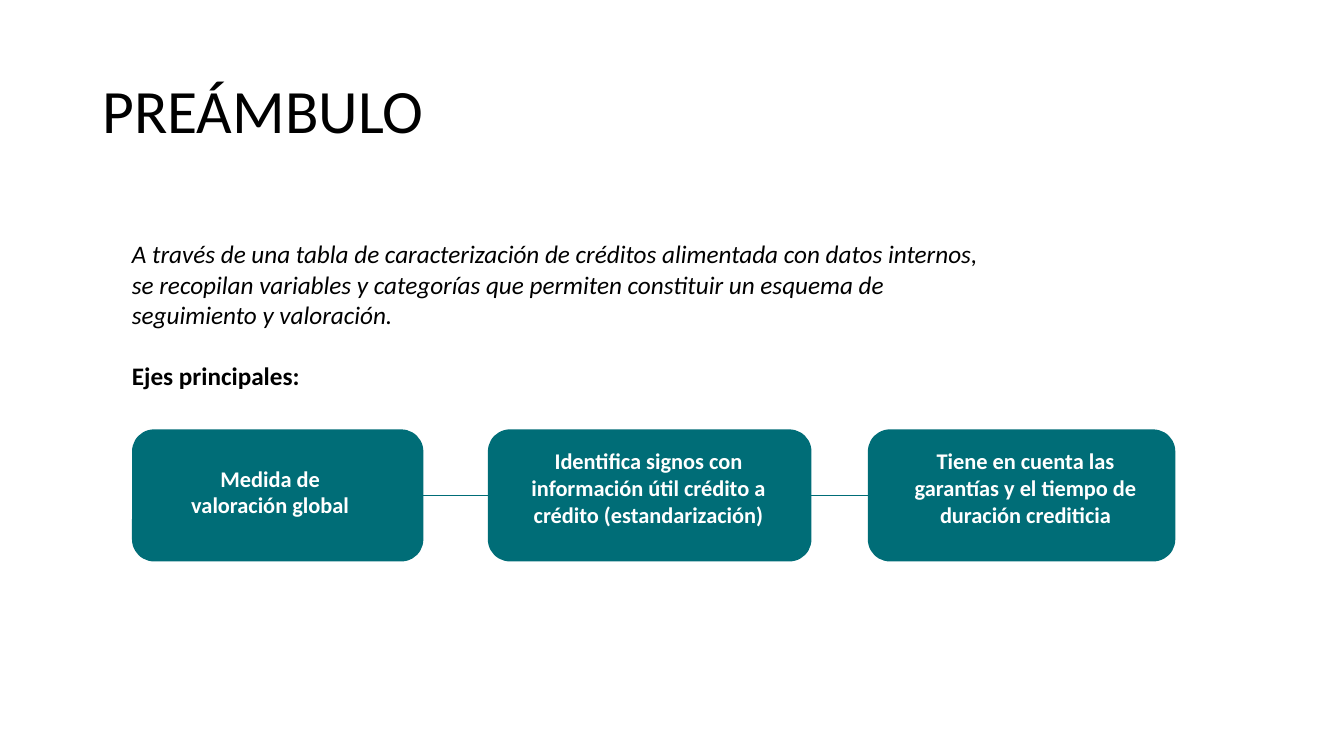
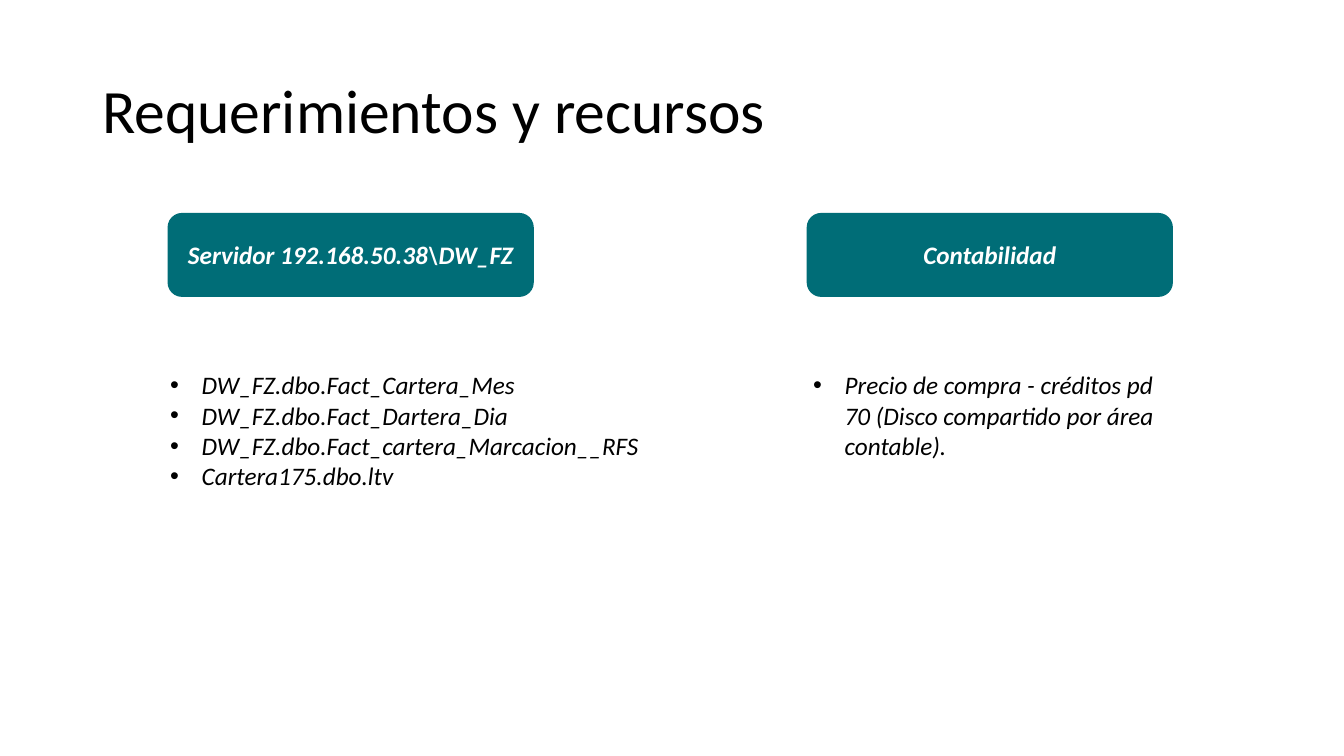
import pptx
import pptx.dml.color
import pptx.enum.shapes
import pptx.enum.text
import pptx.oxml.ns
import pptx.util
from lxml import etree

Pt = pptx.util.Pt
RGBColor = pptx.dml.color.RGBColor
PP_ALIGN = pptx.enum.text.PP_ALIGN
MSO_ANCHOR = pptx.enum.text.MSO_ANCHOR
MSO_SHAPE = pptx.enum.shapes.MSO_SHAPE
MSO_CONNECTOR = pptx.enum.shapes.MSO_CONNECTOR
qn = pptx.oxml.ns.qn

TEAL = RGBColor(0x00, 0x6D, 0x77)
BLACK = RGBColor(0x00, 0x00, 0x00)
WHITE = RGBColor(0xFF, 0xFF, 0xFF)
FONT = "Calibri"
LEFT, RIGHT = 1, 3


def style(p, size, color=BLACK, bold=False, italic=False):
    p.font.name = FONT
    p.font.size = Pt(size)
    p.font.color.rgb = color
    p.font.bold = bold
    p.font.italic = italic


def add_text(slide, left, top, width, height):
    sp = slide.shapes.add_textbox(Pt(left), Pt(top), Pt(width), Pt(height))
    sp.text_frame.word_wrap = True
    return sp.text_frame


def add_titled_slide(prs, title):
    slide = prs.slides.add_slide(prs.slide_layouts[6])
    tf = add_text(slide, 66, 28.8, 828, 104.4)
    tf.vertical_anchor = MSO_ANCHOR.MIDDLE
    p = tf.paragraphs[0]
    p.text = title
    p.line_spacing = 0.9
    style(p, 44)
    return slide


def add_card(slide, left, top, width, height, text, size, italic=False):
    sp = slide.shapes.add_shape(MSO_SHAPE.ROUNDED_RECTANGLE,
                                Pt(left), Pt(top), Pt(width), Pt(height))
    sp.shadow.inherit = False
    sp.fill.solid()
    sp.fill.fore_color.rgb = TEAL
    sp.line.fill.background()
    tf = sp.text_frame
    tf.word_wrap = True
    tf.vertical_anchor = MSO_ANCHOR.MIDDLE
    p = tf.paragraphs[0]
    p.text = text
    p.alignment = PP_ALIGN.CENTER
    style(p, size, WHITE, bold=True, italic=italic)
    return sp


def join(slide, first, second):
    line = slide.shapes.add_connector(MSO_CONNECTOR.STRAIGHT, 0, 0, 0, 0)
    line.begin_connect(first, RIGHT)
    line.end_connect(second, LEFT)
    line.line.color.rgb = TEAL
    line.line.width = Pt(0.5)
    etree.SubElement(line._element.spPr, qn("a:effectLst"))


def add_intro(slide, left, top, width, height, intro, heading):
    tf = add_text(slide, left, top, width, height)
    p = tf.paragraphs[0]
    p.text = intro
    style(p, 18, italic=True)
    p = tf.add_paragraph()
    p.text = heading
    p.space_before = Pt(22)
    style(p, 18, bold=True)


def add_axes(slide, top, height, axes):
    cards = []
    for left, width, insets, text in axes:
        sp = add_card(slide, left, top, width, height, text, 16)
        tf = sp.text_frame
        tf.vertical_anchor = MSO_ANCHOR.TOP
        tf.margin_left, tf.margin_top, tf.margin_right = map(Pt, insets)
        cards.append(sp)
    for first, second in zip(cards, cards[1:]):
        join(slide, first, second)


def add_bullets(slide, left, top, width, height, items):
    tf = add_text(slide, left, top, width, height)
    for i, item in enumerate(items):
        p = tf.add_paragraph() if i else tf.paragraphs[0]
        p.text = item
        style(p, 18, italic=True)
        pPr = p._p.get_or_add_pPr()
        pPr.set("marL", str(Pt(22.5)))
        pPr.set("indent", str(-Pt(22.5)))
        font = etree.Element(qn("a:buFont"), typeface="Arial")
        char = etree.Element(qn("a:buChar"), char="•")
        pPr.insert(0, font)
        font.addnext(char)


def add_resource(slide, left, top, heading, list_left, list_width, items):
    sp = add_card(slide, left, top, 260.6, 59, heading, 18, italic=True)
    sp.line.color.rgb = TEAL
    sp.line.width = Pt(1)
    add_bullets(slide, left + list_left, top + 108, list_width,
                7.2 + 22 * max(len(items), 3), items)


def build_preamble(prs):
    slide = add_titled_slide(prs, "PREÁMBULO")
    add_intro(slide, 87.1, 167, 633, 116.6,
              "A través de una tabla de caracterización de créditos alimentada "
              "con datos internos, se recopilan variables y categorías que "
              "permiten constituir un esquema de seguimiento y valoración.",
              "Ejes principales:")
    add_axes(slide, 306.7, 94.3, [
        (94.3, 208.1, (24.2, 20.6, 35), "Medida de valoración global"),
        (348.5, 231.1, (13.4, 8.4, 15),
         "Identifica signos con información útil crédito a crédito "
         "(estandarización)"),
        (619.9, 219.6, (13.4, 8, 7.7),
         "Tiene en cuenta las garantías y el tiempo de duración crediticia"),
    ])


def build_resources(prs):
    slide = add_titled_slide(prs, "Requerimientos y recursos")
    add_resource(slide, 120.2, 152.6, "Servidor 192.168.50.38\\DW_FZ", -5.7, 351.4, [
        "DW_FZ.dbo.Fact_Cartera_Mes",
        "DW_FZ.dbo.Fact_Dartera_Dia",
        "DW_FZ.dbo.Fact_cartera_Marcacion__RFS",
        "Cartera175.dbo.ltv",
    ])
    add_resource(slide, 576.7, 152.6, "Contabilidad", -2.9, 266.4, [
        "Precio de compra - créditos pd 70 (Disco compartido por área contable).",
    ])


def main():
    prs = pptx.Presentation()
    prs.slide_width = Pt(960)
    prs.slide_height = Pt(540)
    build_preamble(prs)
    build_resources(prs)
    prs.save("out.pptx")


if __name__ == "__main__":
    main()
